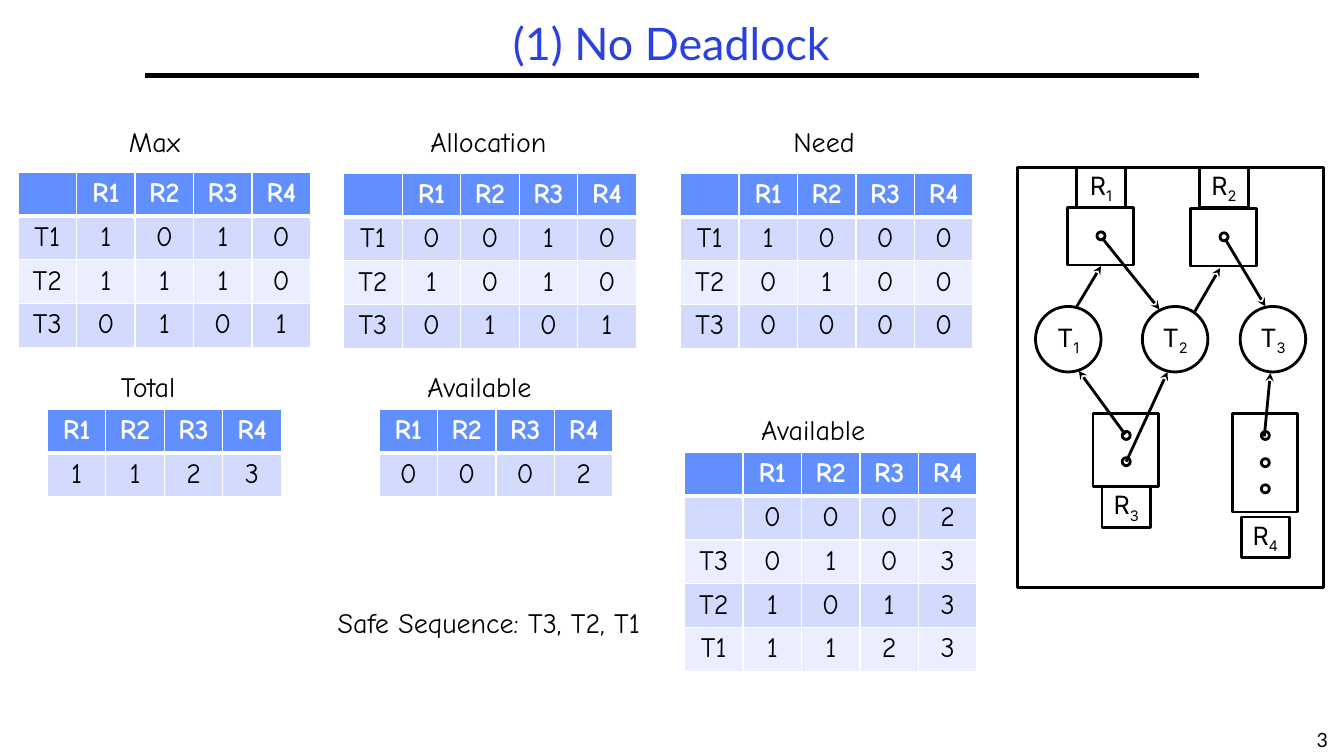
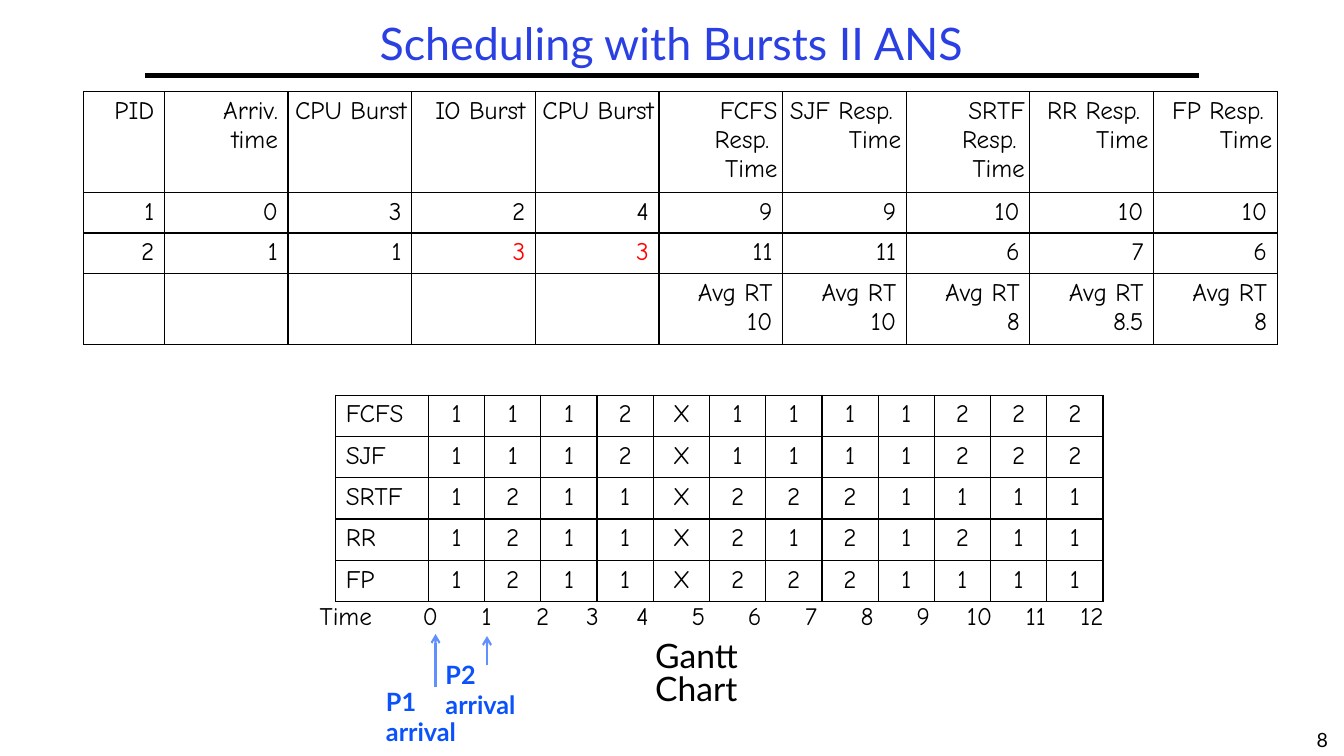
from dataclasses import dataclass

from lxml.etree import SubElement
from pptx import Presentation
from pptx.dml.color import RGBColor
from pptx.enum.shapes import MSO_CONNECTOR, MSO_SHAPE
from pptx.enum.text import MSO_ANCHOR, PP_ALIGN
from pptx.oxml.ns import qn
from pptx.util import Inches, Pt


@dataclass(frozen=True)
class Theme:
    ink: str = "000000"
    paper: str = "FFFFFF"
    title: str = "2A40E2"
    header: str = "618FFD"
    bands: tuple = ("D2DBFE", "EAEEFF")
    arrival: str = "0B52FC"
    changed: str = "FF0000"
    sans: str = "Lato"
    hand: str = "Comic Neue"
    node: str = "Inter"
    title_size: int = 32
    caption_size: int = 24
    matrix_size: int = 20
    body_size: int = 18
    number_size: int = 14


THEME = Theme()
TITLE_ONLY = 5


def rgb(code):
    return RGBColor.from_string(code)


def style(paragraph, size, font, color=THEME.ink, bold=False, align=PP_ALIGN.LEFT):
    paragraph.alignment = align
    for run in paragraph.runs:
        run.font.size = Pt(size)
        run.font.name = font
        run.font.bold = bold
        run.font.color.rgb = rgb(color)


def set_border(cell, color, bottom=1):
    properties = cell._tc.get_or_add_tcPr()
    for side, width in (("lnL", 1), ("lnR", 1), ("lnT", 1), ("lnB", bottom)):
        edge = SubElement(properties, qn(f"a:{side}"), w=str(Pt(width)))
        if color is None:
            SubElement(edge, qn("a:noFill"))
        else:
            paint = SubElement(edge, qn("a:solidFill"))
            SubElement(paint, qn("a:srgbClr"), val=color)


class Deck:
    def __init__(self, theme):
        self.theme = theme
        self.presentation = Presentation()
        self.presentation.slide_width = Inches(13.33)
        self.presentation.slide_height = Inches(7.5)
        self.slide = None

    def new_slide(self, heading, number):
        t = self.theme
        layout = self.presentation.slide_layouts[TITLE_ONLY]
        self.slide = self.presentation.slides.add_slide(layout)
        title = self.slide.shapes.title
        title.left, title.top = Inches(1.44), Inches(0.17)
        title.width, title.height = Inches(10.44), Inches(0.58)
        frame = title.text_frame
        frame.text = heading
        frame.vertical_anchor = MSO_ANCHOR.MIDDLE
        frame.paragraphs[0].line_spacing = 0.9
        style(frame.paragraphs[0], t.title_size, t.sans, t.title, align=PP_ALIGN.CENTER)
        self.line((1.44, 0.75), (11.89, 0.75), t.ink, 3)
        self.text(str(number), 12.9, 7.17, 0.43, 0.33, t.number_size, t.sans,
                  align=PP_ALIGN.CENTER)

    def text(self, words, left, top, width, height, size, font, **look):
        box = self.slide.shapes.add_textbox(
            Inches(left), Inches(top), Inches(width), Inches(height))
        box.text_frame.word_wrap = True
        box.text_frame.text = words
        paragraph = box.text_frame.paragraphs[0]
        style(paragraph, size, font, **look)
        return paragraph

    def label(self, words, left, top, width):
        self.text(words, left, top, width, 0.44, self.theme.matrix_size, self.theme.hand)

    def line(self, start, end, color, width, head=None):
        connector = self.slide.shapes.add_connector(
            MSO_CONNECTOR.STRAIGHT, *(Inches(value) for value in (*start, *end)))
        connector.line.color.rgb = rgb(color)
        connector.line.width = Pt(width)
        properties = connector._element.spPr
        if head:
            SubElement(properties.find(qn("a:ln")), qn("a:tailEnd"), type=head)
        SubElement(properties, qn("a:effectLst"))

    def outline(self, kind, left, top, width, height, letter="", index=""):
        t = self.theme
        shape = self.slide.shapes.add_shape(
            kind, Inches(left), Inches(top), Inches(width), Inches(height))
        shape.shadow.inherit = False
        shape.fill.solid()
        shape.fill.fore_color.rgb = rgb(t.paper)
        shape.line.color.rgb = rgb(t.ink)
        shape.line.width = Pt(2)
        if letter:
            frame = shape.text_frame
            frame.word_wrap = False
            frame.vertical_anchor = MSO_ANCHOR.MIDDLE
            paragraph = frame.paragraphs[0]
            paragraph.add_run().text = letter
            subscript = paragraph.add_run()
            subscript.text = index
            style(paragraph, t.body_size, t.node, align=PP_ALIGN.CENTER)
            subscript._r.get_or_add_rPr().set("baseline", "-25000")

    def table(self, rows, left, top, widths, heights, size, align, border=None):
        frame = self.slide.shapes.add_table(
            len(rows), len(widths), Inches(left), Inches(top),
            Inches(sum(widths)), Inches(sum(heights)))
        table = frame.table
        table.first_row = table.horz_banding = False
        for column, width in zip(table.columns, widths):
            column.width = Inches(width)
        for row, height, values in zip(table.rows, heights, rows):
            row.height = Inches(height)
            for cell, value in zip(row.cells, values):
                cell.text = value
                for paragraph in cell.text_frame.paragraphs:
                    style(paragraph, size, self.theme.hand, align=align)
                if border != self.theme.paper:
                    set_border(cell, border)
                    cell.fill.background()
        return table

    def matrix(self, rows, left, top, row_height=0.41):
        t = self.theme
        table = self.table(rows, left, top, [0.58] * len(rows[0]),
                           [row_height] * len(rows), t.matrix_size,
                           PP_ALIGN.CENTER, t.paper)
        for position, row in enumerate(table.rows):
            is_header = position == 0
            for cell in row.cells:
                set_border(cell, t.paper, 3 if is_header else 1)
                cell.fill.solid()
                cell.fill.fore_color.rgb = rgb(
                    t.header if is_header else t.bands[(position - 1) % 2])
                if is_header:
                    style(cell.text_frame.paragraphs[0], t.matrix_size, t.hand,
                          t.paper, True, PP_ALIGN.CENTER)


def resource_graph(deck):
    deck.outline(MSO_SHAPE.RECTANGLE, 10.09, 1.66, 3.04, 4.17)
    for index, left in (("1", 10.27), ("2", 11.33), ("3", 12.3)):
        deck.outline(MSO_SHAPE.OVAL, left, 3.04, 0.65, 0.65, "T", index)
    resources = (
        ("1", 10.59, 2.06, 0.57, 1.66, (2.3,)),
        ("2", 11.81, 2.07, 0.57, 1.66, (2.31,)),
        ("3", 10.84, 4.1, 0.73, 4.83, (4.28, 4.54)),
        ("4", 12.22, 4.1, 0.98, 5.13, (4.28, 4.55, 4.81)),
    )
    for index, left, top, height, name_top, units in resources:
        deck.outline(MSO_SHAPE.RECTANGLE, left, top, 0.65, height)
        for unit_top in units:
            deck.outline(MSO_SHAPE.OVAL, left + 0.29, unit_top, 0.08, 0.08)
        deck.outline(MSO_SHAPE.RECTANGLE, left + 0.09, name_top, 0.48, 0.4, "R", index)
    edges = (
        ((10.68, 3.04), (10.92, 2.64)),
        ((10.93, 2.36), (11.5, 3.07)),
        ((11.85, 3.09), (12.1, 2.66)),
        ((12.15, 2.37), (12.55, 3.04)),
        ((11.16, 4.31), (10.7, 3.68)),
        ((11.17, 4.58), (11.58, 3.69)),
        ((12.54, 4.33), (12.6, 3.7)),
    )
    for start, end in edges:
        deck.line(start, end, deck.theme.ink, 2, "stealth")


def deadlock_slide(deck):
    deck.new_slide("(1) No Deadlock", 3)
    resources = ["R1", "R2", "R3", "R4"]

    def by_thread(threads, *counts):
        return [["", *resources]] + [[thread, *row] for thread, row in zip(threads, counts)]

    threads = ("T1", "T2", "T3")
    deck.matrix(by_thread(threads, "1010", "1110", "0101"), 0.18, 1.71)
    deck.matrix(by_thread(threads, "0010", "1010", "0101"), 3.41, 1.72)
    deck.matrix(by_thread(threads, "1000", "0100", "0000"), 6.75, 1.72, 0.43)
    deck.matrix([resources, "1123"], 0.47, 4.06)
    deck.matrix([resources, "0002"], 3.76, 4.06, 0.43)
    deck.matrix(by_thread(("", "T3", "T2", "T1"), "0002", "0103", "1013", "1123"),
                6.79, 4.49, 0.43)
    for words, left, top, width in (
        ("Max", 1.18, 1.19, 0.76),
        ("Allocation", 4.17, 1.19, 1.5),
        ("Need", 7.77, 1.19, 0.9),
        ("Total", 1.1, 3.62, 0.89),
        ("Available", 4.14, 3.62, 1.39),
        ("Available", 7.45, 4.04, 1.39),
        ("Safe Sequence: T3, T2, T1", 3.25, 5.96, 3.69),
    ):
        deck.label(words, left, top, width)
    resource_graph(deck)


def scheduling_slide(deck):
    t = deck.theme
    deck.new_slide("Scheduling with Bursts II ANS", 8)
    policies = ("FCFS", "SJF", "SRTF", "RR", "FP")

    slots = ("1112X1111222", "1112X1111222", "1211X2221111",
             "1211X2121211", "1211X2221111")
    slot = (7.61 - 0.92) / 12
    gantt = deck.table([[policy, *row] for policy, row in zip(policies, slots)],
                       3.33, 3.92, [0.92] + [slot] * 12, [0.41] * 5,
                       t.body_size, PP_ALIGN.CENTER, t.ink)
    ticks = deck.table([["Time", *map(str, range(13))]], 3.07, 5.93,
                       [0.92] + [slot] * 3 + [0.43] + [slot] * 9, [0.41],
                       t.body_size, PP_ALIGN.CENTER)
    for chart in (gantt, ticks):
        for row in chart.rows:
            row.cells[0].text_frame.paragraphs[0].alignment = PP_ALIGN.LEFT

    caption = deck.text("Gantt Chart", 6.4, 6.33, 1.83, 0.43, t.caption_size, t.sans)
    caption.line_spacing = 0.8
    for words, left, top, arrow_x, arrow_from, arrow_to in (
        ("P1 arrival", 3.73, 6.76, 4.32, 6.82, 6.29),
        ("P2 arrival", 4.32, 6.49, 4.83, 6.6, 6.31),
    ):
        deck.line((arrow_x, arrow_from), (arrow_x, arrow_to), t.header, 1.5, "arrow")
        deck.text(words, left, top, 1.11, 0.4, t.body_size, t.sans,
                  color=t.arrival, bold=True)

    averages = ("10", "10", "8", "8.5", "8")
    bursts = deck.table(
        [
            ["PID", "Arriv. time", "CPU Burst", "IO Burst", "CPU Burst"]
            + [f"{policy} Resp. \vTime" for policy in policies],
            ["1", "0", "3", "2", "4", "9", "9", "10", "10", "10"],
            ["2", "1", "1", "3", "3", "11", "11", "6", "7", "6"],
            [""] * 5 + [f"Avg RT\n{average}" for average in averages],
        ],
        0.83, 0.91, [0.8] + [(11.84 - 0.8) / 9] * 9, [0.99, 0.4, 0.4, 0.71],
        t.body_size, PP_ALIGN.RIGHT, t.ink)
    for column in (2, *range(4, 10)):
        heading = bursts.cell(0, column)
        heading.margin_left = heading.margin_right = Inches(0.05)
    for column in (3, 4):
        style(bursts.cell(2, column).text_frame.paragraphs[0], t.body_size, t.hand,
              t.changed, align=PP_ALIGN.RIGHT)


def main():
    deck = Deck(THEME)
    deadlock_slide(deck)
    scheduling_slide(deck)
    deck.presentation.save("out.pptx")


if __name__ == "__main__":
    main()
